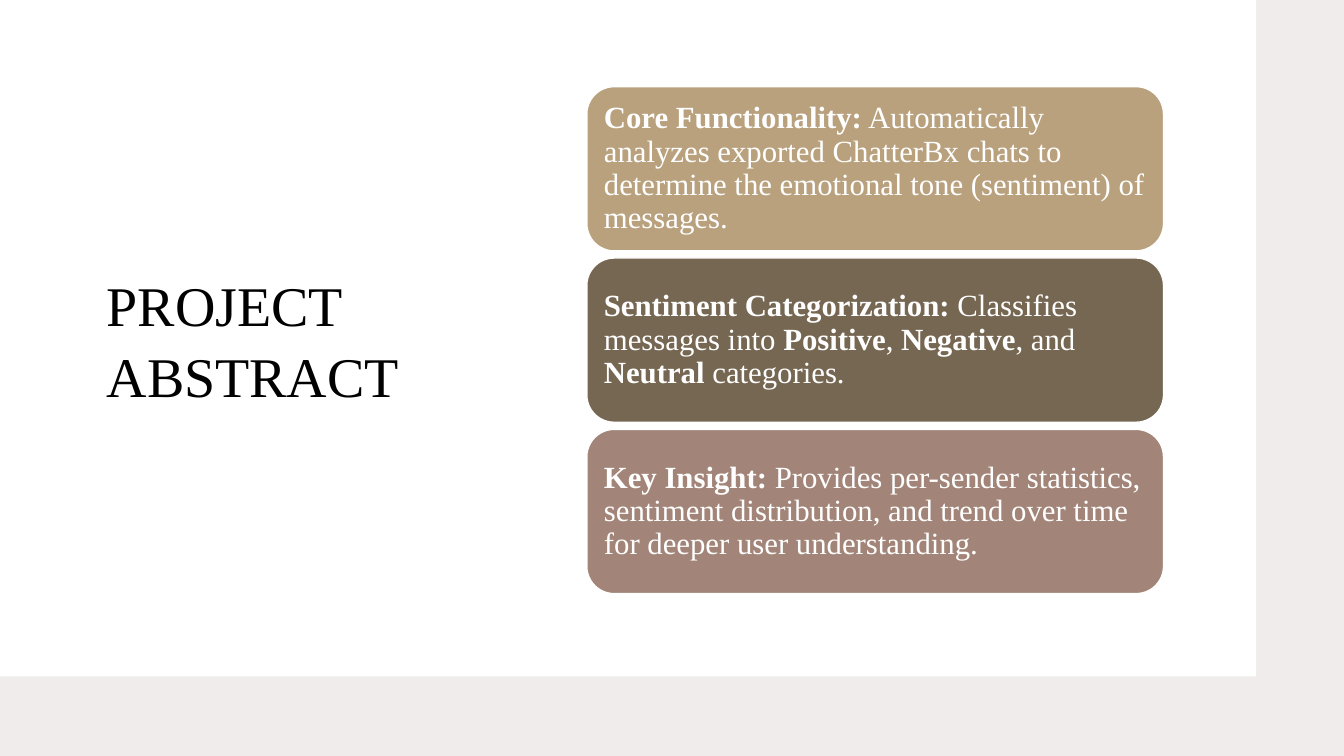
import pptx
import pptx.util
import pptx.dml.color
import pptx.enum.shapes
import pptx.enum.text

Inches = pptx.util.Inches
Pt = pptx.util.Pt
SHAPES = pptx.enum.shapes.MSO_SHAPE
FONT = "Times New Roman"
COLORS = {
    "frame": "EFECEB",
    "white": "FFFFFF",
    "black": "000000",
    "sand": "B9A17E",
    "olive": "766752",
    "clay": "A28578",
}


def add_block(kind, left, top, width, height, fill):
    block = slide.shapes.add_shape(
        kind, Inches(left), Inches(top), Inches(width), Inches(height))
    block.shadow.inherit = False
    block.fill.solid()
    block.fill.fore_color.rgb = pptx.dml.color.RGBColor.from_string(COLORS[fill])
    block.line.fill.background()
    return block


def add_run(paragraph, text, size, color, bold=False):
    run = paragraph.add_run()
    run.text = text
    run.font.name = FONT
    run.font.size = Pt(size)
    run.font.bold = bold
    run.font.color.rgb = pptx.dml.color.RGBColor.from_string(COLORS[color])


presentation = pptx.Presentation()
presentation.slide_width = Inches(13.33)
presentation.slide_height = Inches(7.5)
slide = presentation.slides.add_slide(presentation.slide_layouts[6])

# Tinted frame with the white page on top
add_block(SHAPES.RECTANGLE, 0, 0, 13.33, 7.5, "frame")
add_block(SHAPES.RECTANGLE, 0, 0, 12.46, 6.71, "white")

# Title
title = slide.shapes.add_textbox(Inches(0.96), Inches(2.57), Inches(3.98), Inches(1.57))
title.text_frame.word_wrap = True
title.text_frame.vertical_anchor = pptx.enum.text.MSO_ANCHOR.MIDDLE
heading = title.text_frame.paragraphs[0]
heading.line_spacing = 1.05
add_run(heading, "PROJECT ABSTRACT", 40, "black")

# Abstract cards: fill, then (text, bold) pieces
cards = [
    ("sand", [
        ("Core Functionality:", True),
        (" Automatically analyzes exported ChatterBx chats to determine "
         "the emotional tone (sentiment) of messages.", False),
    ]),
    ("olive", [
        ("Sentiment Categorization:", True),
        (" Classifies messages into ", False),
        ("Positive", True),
        (", ", False),
        ("Negative", True),
        (", and ", False),
        ("Neutral", True),
        (" categories.", False),
    ]),
    ("clay", [
        ("Key Insight:", True),
        (" Provides per-sender statistics, sentiment distribution, and trend "
         "over time for deeper user understanding.", False),
    ]),
]
for row, (fill, pieces) in enumerate(cards):
    card = add_block(SHAPES.ROUNDED_RECTANGLE, 5.82, 0.86 + row * 1.7, 5.72, 1.63, fill)
    card.line.color.rgb = pptx.dml.color.RGBColor.from_string(COLORS["white"])
    card.line.width = Pt(1)
    frame = card.text_frame
    frame.word_wrap = True
    frame.vertical_anchor = pptx.enum.text.MSO_ANCHOR.MIDDLE
    frame.margin_left = frame.margin_right = Inches(0.09)
    frame.margin_top = frame.margin_bottom = Inches(0.09)
    summary = frame.paragraphs[0]
    summary.alignment = pptx.enum.text.PP_ALIGN.LEFT
    summary.line_spacing = 0.9
    for text, bold in pieces:
        add_run(summary, text, 22, "white", bold)

presentation.save("out.pptx")
